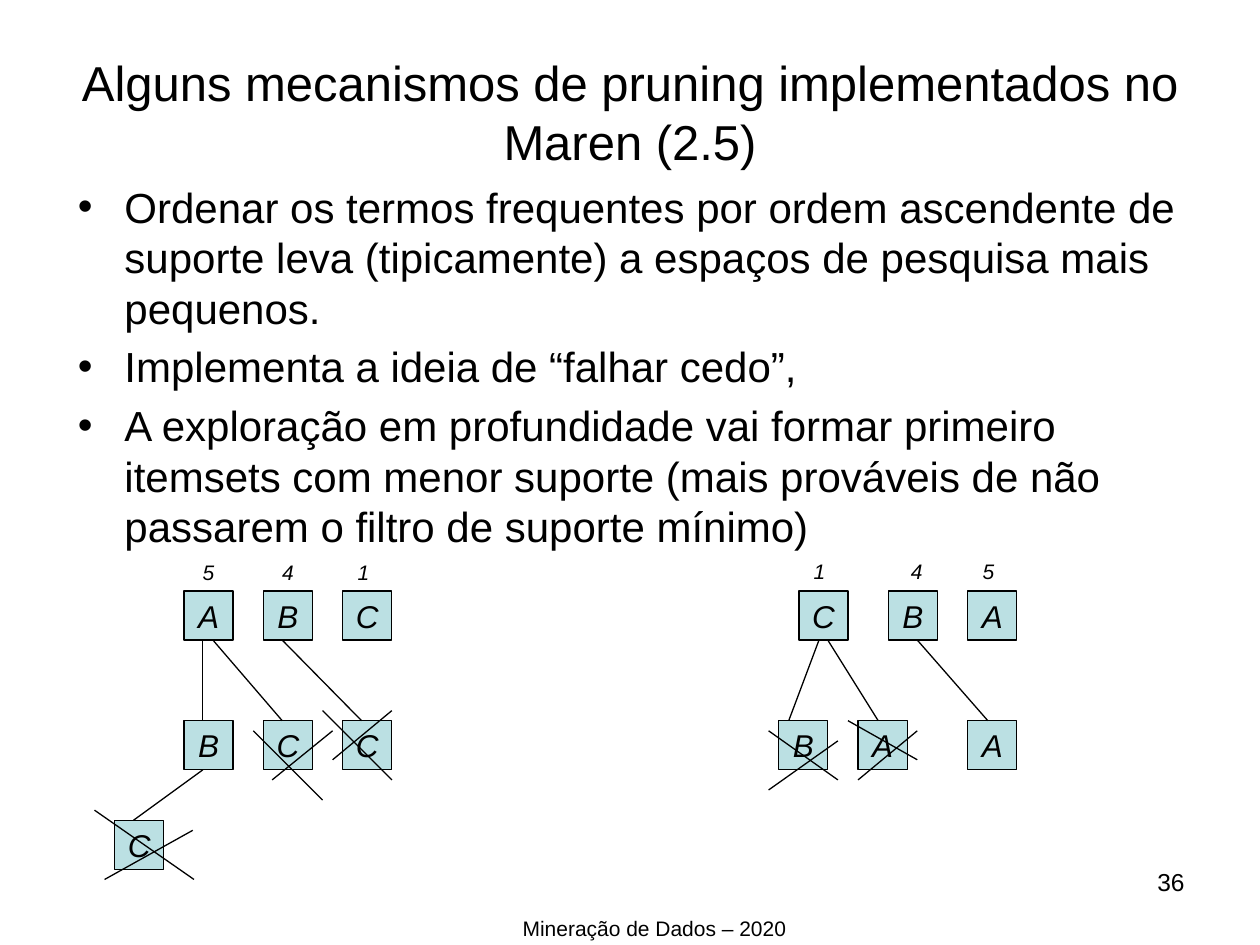
import pptx
import pptx.util
import pptx.dml.color
import pptx.enum.shapes
import pptx.enum.text
import pptx.oxml.ns
import lxml.etree

Inches, Pt = pptx.util.Inches, pptx.util.Pt
ALIGN = pptx.enum.text.PP_ALIGN
ANCHOR = pptx.enum.text.MSO_ANCHOR
BLACK = pptx.dml.color.RGBColor(0x00, 0x00, 0x00)
NODE_FILL = pptx.dml.color.RGBColor(0xBB, 0xE0, 0xE3)
FONT = "Arial"

TITLE = "Alguns mecanismos de pruning implementados no Maren (2.5)"
BULLETS = [
    "Ordenar os termos frequentes por ordem ascendente de suporte leva "
    "(tipicamente) a espaços de pesquisa mais pequenos.",
    "Implementa a ideia de “falhar cedo”,",
    "A exploração em profundidade vai formar primeiro itemsets com menor "
    "suporte (mais prováveis de não passarem o filtro de suporte mínimo)",
]
FOOTER = "Mineração de Dados – 2020"
PAGE_NUMBER = "36"

# Search trees: item and left edge of every node, level by level
NODE_SIZE = 0.39
LEVEL_TOPS = [4.69, 5.72, 6.51]
TREES = [
    [
        [("A", 1.46), ("B", 2.09), ("C", 2.72)],
        [("B", 1.46), ("C", 2.09), ("C", 2.72)],
        [("C", 0.91)],
    ],
    [
        [("C", 6.34), ("B", 7.05), ("A", 7.68)],
        [("B", 6.18), ("A", 6.81), ("A", 7.68)],
    ],
]
# Support counts above the roots: top edge, then (count, left edge)
SUPPORTS = [
    (4.39, [("5", 1.51), ("4", 2.14), ("1", 2.74)]),
    (4.38, [("1", 6.36), ("4", 7.13), ("5", 7.70)]),
]
# Branches: parent level, x at the parent, x at the child
BRANCHES = [
    (0, 1.61, 1.61), (0, 1.69, 2.24), (0, 2.24, 2.87), (1, 1.61, 1.06),
    (0, 6.50, 6.26), (0, 6.57, 6.97), (0, 7.28, 7.84),
]
# Strokes that cross out pruned nodes: x1, y1, x2, y2
STRIKES = [
    (2.01, 5.80, 2.56, 6.35), (2.64, 5.80, 2.16, 6.19),
    (2.56, 5.64, 3.11, 6.19), (3.11, 5.64, 2.64, 6.03),
    (0.75, 6.43, 1.54, 6.98), (1.53, 6.59, 0.83, 6.98),
    (6.10, 5.80, 6.65, 6.19), (6.65, 5.88, 6.10, 6.27),
    (6.73, 5.72, 7.28, 6.03), (7.28, 5.80, 6.81, 6.19),
]


def style_text(frame, size, align, italic=False):
    for para in frame.paragraphs:
        para.alignment = align
        for span in para.runs:
            span.font.name = FONT
            span.font.size = Pt(size)
            span.font.italic = italic
            span.font.color.rgb = BLACK


def add_text(page, text, place, size, align=ALIGN.LEFT, anchor=ANCHOR.TOP,
             wrap=True, italic=False):
    box = page.shapes.add_textbox(*map(Inches, place))
    frame = box.text_frame
    frame.text = text
    frame.word_wrap = wrap
    frame.vertical_anchor = anchor
    style_text(frame, size, align, italic)
    return frame


def add_bullets(frame):
    for para in frame.paragraphs:
        para.space_before = Pt(4.8)
        props = para._p.get_or_add_pPr()
        props.set("marL", str(Inches(0.38)))
        props.set("indent", str(Inches(-0.37)))
        font = lxml.etree.SubElement(props, pptx.oxml.ns.qn("a:buFont"))
        font.set("typeface", FONT)
        mark = lxml.etree.SubElement(props, pptx.oxml.ns.qn("a:buChar"))
        mark.set("char", "•")


def add_node(page, item, left, top):
    node = page.shapes.add_shape(
        pptx.enum.shapes.MSO_SHAPE.RECTANGLE, Inches(left), Inches(top),
        Inches(NODE_SIZE), Inches(NODE_SIZE))
    node.shadow.inherit = False
    node.fill.solid()
    node.fill.fore_color.rgb = NODE_FILL
    node.line.color.rgb = BLACK
    node.line.width = Pt(0.75)
    frame = node.text_frame
    frame.text = item
    frame.word_wrap = False
    frame.vertical_anchor = ANCHOR.MIDDLE
    style_text(frame, 18, ALIGN.CENTER, italic=True)


def add_line(page, x1, y1, x2, y2):
    line = page.shapes.add_connector(
        pptx.enum.shapes.MSO_CONNECTOR.STRAIGHT,
        *map(Inches, (x1, y1, x2, y2)))
    line.line.color.rgb = BLACK
    line.line.width = Pt(0.75)
    lxml.etree.SubElement(line._element.spPr, pptx.oxml.ns.qn("a:effectLst"))


def main():
    deck = pptx.Presentation()
    deck.slide_width, deck.slide_height = Inches(10), Inches(7.5)
    page = deck.slides.add_slide(deck.slide_layouts[6])

    # Title, bullets, page number and footer
    add_text(page, TITLE, (0.5, 0.3, 9, 1.17), 28, ALIGN.CENTER, ANCHOR.MIDDLE)
    add_bullets(add_text(page, "\n".join(BULLETS), (0.51, 1.39, 9, 3.1), 24))
    add_text(page, PAGE_NUMBER, (7.17, 6.83, 2.33, 0.52), 14, ALIGN.RIGHT)
    add_text(page, FOOTER, (2.4, 7.22, 5.59, 0.23), 12, ALIGN.CENTER)

    # Tree nodes and their support counts
    for tree in TREES:
        for top, level in zip(LEVEL_TOPS, tree):
            for item, left in level:
                add_node(page, item, left, top)
    for top, counts in SUPPORTS:
        for count, left in counts:
            add_text(page, count, (left, top, 0.29, 0.3), 12,
                     wrap=False, italic=True)

    # Branches run from the bottom of one level to the top of the next
    for level, parent_x, child_x in BRANCHES:
        add_line(page, parent_x, LEVEL_TOPS[level] + NODE_SIZE,
                 child_x, LEVEL_TOPS[level + 1])

    # Crossed-out nodes
    for strike in STRIKES:
        add_line(page, *strike)

    deck.save("out.pptx")


if __name__ == "__main__":
    main()
